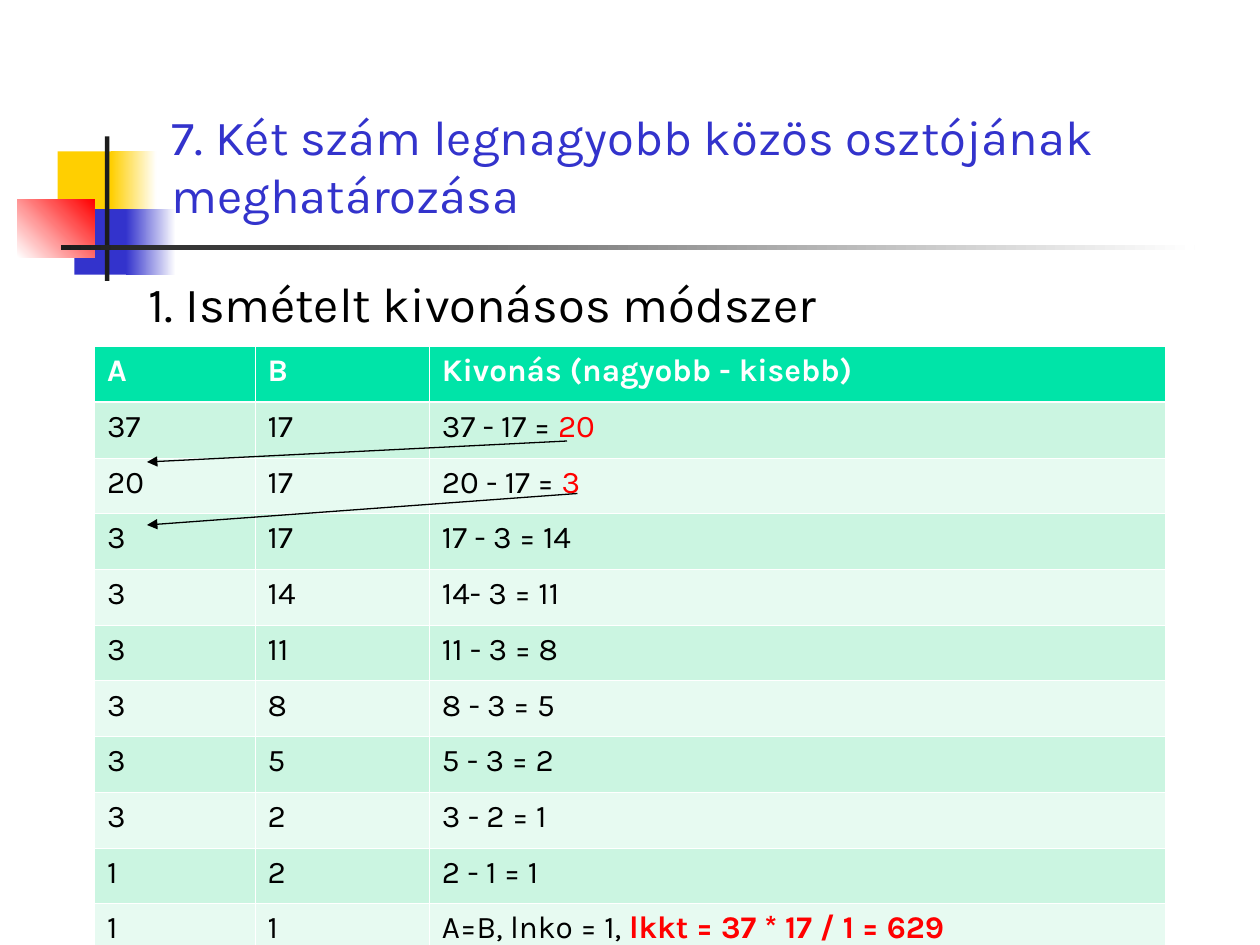
from lxml import etree
from pptx import Presentation
from pptx.dml.color import RGBColor as RGB
from pptx.enum.shapes import MSO_CONNECTOR as Conn, MSO_SHAPE as Shape
from pptx.enum.text import MSO_ANCHOR as Anchor, MSO_AUTO_SIZE as Auto, PP_ALIGN as Align
from pptx.oxml import parse_xml
from pptx.oxml.ns import nsdecls, qn
from pptx.util import Pt

WHITE = RGB(0xFF, 0xFF, 0xFF)
BLACK = RGB(0, 0, 0)
INK = RGB(0x1C, 0x1C, 0x1C)
YELLOW = RGB(0xFF, 0xCF, 0x01)
BLUE = RGB(0x33, 0x33, 0xCC)
RED = RGB(0xFF, 0, 0)
HEAD = RGB(0x00, 0xE4, 0xA8)
BANDS = RGB(0xCB, 0xF5, 0xE1), RGB(0xE7, 0xFA, 0xF1)

# The part of a cell after "|" is the highlighted result.
STEPS = [
    ("A", "B", "Kivonás (nagyobb - kisebb)"),
    ("37", "17", "37 - 17 = |20"),
    ("20", "17", "20 - 17 = |3"),
    ("3", "17", "17 - 3 = 14"),
    ("3", "14", "14- 3 = 11"),
    ("3", "11", "11 - 3 = 8"),
    ("3", "8", "8 - 3 = 5"),
    ("3", "5", "5 - 3 = 2"),
    ("3", "2", "3 - 2 = 1"),
    ("1", "2", "2 - 1 = 1"),
    ("1", "1", "A=B, lnko = 1, |lkkt = 37 * 17 / 1 = 629"),
]


def write(para, text, size=18, color=BLACK, bold=False, face="Karla"):
    """Add one formatted run to a paragraph."""
    run = para.add_run()
    run.text = text
    font = run.font
    font.name, font.size, font.bold = face, Pt(size), bold
    font.color.rgb = color


def border(cell, widths):
    """Draw white cell edges; widths follow left, right, top, bottom."""
    props = cell._tc.get_or_add_tcPr()
    for i, (side, width) in enumerate(zip("LRTB", widths)):
        props.insert(i, parse_xml(
            f'<a:ln{side} {nsdecls("a")} w="{Pt(width)}"><a:solidFill>'
            f'<a:srgbClr val="{WHITE}"/></a:solidFill></a:ln{side}>'))


class Page:
    def __init__(self, deck):
        self.slide = deck.slides.add_slide(deck.slide_layouts[5])
        self.shapes = self.slide.shapes

    def block(self, x, y, w, h, color, end=None, angle=0):
        """Add a plain rectangle, or one fading from color to end."""
        box = self.shapes.add_shape(Shape.RECTANGLE, Pt(x), Pt(y), Pt(w), Pt(h))
        box.shadow.inherit = False
        box.line.fill.background()
        if end is None:
            box.fill.solid()
            box.fill.fore_color.rgb = color
            return
        box.fill.gradient()
        box.fill.gradient_angle = angle
        for stop, shade in zip(box.fill.gradient_stops, (color, end)):
            stop.color.rgb = shade

    def title(self, text, x, y, w, h):
        box = self.shapes.title
        box.left, box.top, box.width, box.height = Pt(x), Pt(y), Pt(w), Pt(h)
        frame = box.text_frame
        frame.auto_size, frame.word_wrap = Auto.NONE, True
        frame.vertical_anchor = Anchor.BOTTOM
        para = frame.paragraphs[0]
        para.alignment = Align.LEFT
        write(para, text, size=28, color=BLUE)
        self.shapes._spTree.append(box._element)  # in front of the blocks

    def label(self, text, x, y, w, h):
        box = self.shapes.add_textbox(Pt(x), Pt(y), Pt(w), Pt(h))
        box.text_frame.word_wrap = True
        para = box.text_frame.paragraphs[0]
        props = para._p.get_or_add_pPr()
        props.set("marL", str(Pt(27)))
        props.set("indent", str(Pt(-27)))
        write(para, text, size=28)

    def table(self, rows, x, y, widths, height):
        grid = self.shapes.add_table(len(rows), len(widths), Pt(x), Pt(y),
                                     Pt(sum(widths)), Pt(height * len(rows))).table
        for col, width in zip(grid.columns, widths):
            col.width = Pt(width)
        for r, row in enumerate(rows):
            grid.rows[r].height = Pt(height)
            for c, text in enumerate(row):
                self.cell(grid.cell(r, c), text, r, r == len(rows) - 1)

    def cell(self, cell, text, row, last):
        head = row == 0
        cell.fill.solid()
        cell.fill.fore_color.rgb = HEAD if head else BANDS[(row - 1) % 2]
        border(cell, (0.45, 0.45, 1.47 if row == 1 else 0.45, 1.47 if head else 0.45))
        para = cell.text_frame.paragraphs[0]
        plain, _, result = text.partition("|")
        write(para, plain, color=WHITE if head else BLACK, bold=head)
        if result:
            write(para, result, color=RED, bold=last)

    def arrow(self, x1, y1, x2, y2):
        line = self.shapes.add_connector(Conn.STRAIGHT, Pt(x1), Pt(y1), Pt(x2), Pt(y2))
        line.line.color.rgb = BLACK
        line.line.width = Pt(0.75)
        etree.SubElement(line.line._get_or_add_ln(), qn("a:tailEnd"), type="triangle")
        etree.SubElement(line._element.spPr, qn("a:effectLst"))


def main():
    deck = Presentation()
    deck.slide_width, deck.slide_height = Pt(720), Pt(540)
    page = Page(deck)

    page.block(33, 86.5, 34.5, 37.5, YELLOW)
    page.block(63.5, 86.5, 26, 37.5, YELLOW, WHITE)
    page.block(42.5, 119.5, 33, 37.5, BLUE)
    page.block(72, 119.5, 28.5, 37.5, BLUE, WHITE)
    page.block(10, 113.75, 44, 33.25, WHITE, RED, angle=45)
    page.block(60, 78, 2.5, 82.5, INK)
    page.block(34.75, 140.25, 648, 2.5, INK, WHITE)

    page.title("7. Két szám legnagyobb közös osztójának meghatározása",
               91, 16.5, 613.5, 115)
    page.label("1. Ismételt kivonásos módszer", 78, 153, 585, 42)
    page.table(STEPS, 54, 198, (91.8, 99.6, 420.6), 31.85)
    page.arrow(324, 252, 84, 264)
    page.arrow(330, 282, 84, 300)
    deck.save("out.pptx")


if __name__ == "__main__":
    main()
